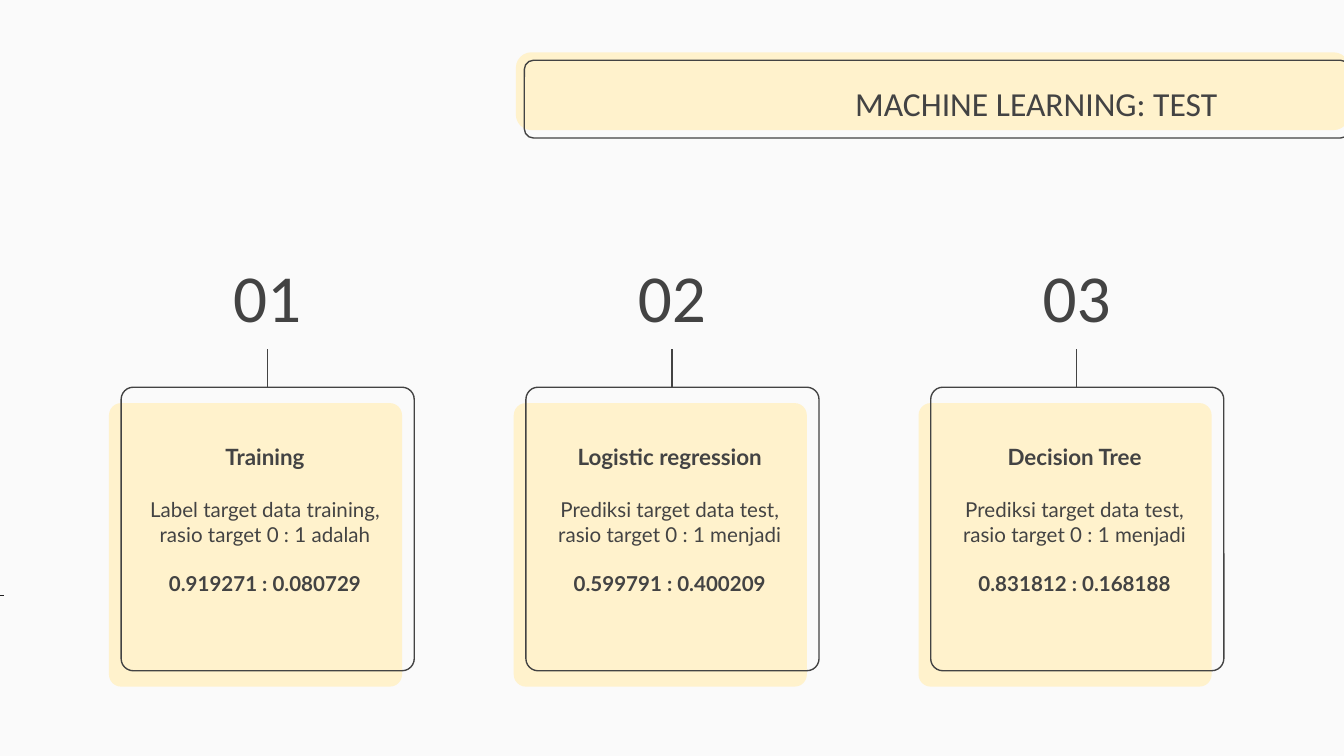
from lxml import etree
from pptx import Presentation
from pptx.dml.color import RGBColor
from pptx.enum.shapes import MSO_CONNECTOR, MSO_SHAPE
from pptx.enum.text import MSO_ANCHOR, PP_ALIGN
from pptx.oxml.ns import qn
from pptx.util import Cm, Pt

ROUND = MSO_SHAPE.ROUNDED_RECTANGLE
LINE = MSO_CONNECTOR.STRAIGHT
TOP, MIDDLE, BOTTOM = MSO_ANCHOR.TOP, MSO_ANCHOR.MIDDLE, MSO_ANCHOR.BOTTOM
CENTER, RIGHT = PP_ALIGN.CENTER, PP_ALIGN.RIGHT

COLORS = {"back": "FAFAFA", "cream": "FFF2CC", "ink": "434343", "dark": "1F1F1F"}
PITCH = 7.65
CARDS = [
    ("Training", "Label target data training,",
     "rasio target 0 : 1 adalah", "0.919271 : 0.080729"),
    ("Logistic regression", "Prediksi target data test,",
     "rasio target 0 : 1 menjadi", "0.599791 : 0.400209"),
    ("Decision Tree", "Prediksi target data test,",
     "rasio target 0 : 1 menjadi", "0.831812 : 0.168188"),
]


def color(name):
    return RGBColor.from_string(COLORS[name])


class Deck:
    """Holds the style and the current slide; lengths are in centimetres."""

    def __init__(self):
        self.file = Presentation()
        self.file.slide_width = Cm(25.4)
        self.file.slide_height = Cm(14.29)
        self.slide = self.file.slides.add_slide(self.file.slide_layouts[6])
        fill = self.slide.background.fill
        fill.solid()
        fill.fore_color.rgb = color("back")

    def box(self, x, y, w, h, curve, fill=None):
        """Draw a filled rounded box, or an outlined one if no fill is given."""
        shape = self.slide.shapes.add_shape(ROUND, Cm(x), Cm(y), Cm(w), Cm(h))
        shape.adjustments[0] = curve
        shape.shadow.inherit = False
        if fill:
            shape.fill.solid()
            shape.fill.fore_color.rgb = color(fill)
            shape.line.fill.background()
        else:
            shape.fill.background()
            shape.line.color.rgb = color("ink")
            shape.line.width = Pt(0.75)

    def line(self, x1, y1, x2, y2, ink="ink", width=0.75):
        line = self.slide.shapes.add_connector(LINE, Cm(x1), Cm(y1), Cm(x2), Cm(y2))
        line.line.color.rgb = color(ink)
        line.line.width = Pt(width)
        etree.SubElement(line._element.spPr, qn("a:effectLst"))

    def text(self, x, y, w, h, rows, font="Calibri", anchor=TOP, align=CENTER):
        """Write rows of (text, size, bold, space after), one paragraph each."""
        frame = self.slide.shapes.add_textbox(Cm(x), Cm(y), Cm(w), Cm(h)).text_frame
        frame.word_wrap = True
        frame.vertical_anchor = anchor
        frame.margin_left = frame.margin_right = Cm(0.25)
        frame.margin_top = frame.margin_bottom = Cm(0.25)
        for i, (words, size, bold, after) in enumerate(rows):
            para = frame.add_paragraph() if i else frame.paragraphs[0]
            para.alignment = align
            para.space_after = Pt(after)
            run = para.add_run()
            run.text = words
            run.font.name = font
            run.font.size = Pt(size)
            run.font.bold = bold
            run.font.color.rgb = color("ink")

    def card(self, index, title, first, second, ratio):
        """Draw a numbered card in its column."""
        x = 2.06 + index * PITCH
        self.box(x, 7.62, 5.54, 5.36, 0.043, "cream")
        self.box(x + 0.23, 7.32, 5.54, 5.36, 0.043)
        self.line(x + 2.99, 6.6, x + 2.99, 7.32)
        self.text(x + 1.01, 4.39, 3.96, 2.21,
                  [(f"{index + 1:02}", 36, False, 0)], anchor=BOTTOM)
        self.text(x + 0.41, 8.13, 5.08, 4.65, [
            (title, 12, True, 14.4),
            (first, 11, False, 0),
            (second, 11, False, 13.2),
            (ratio, 11, True, 0),
        ], font="Lato")


def main():
    deck = Deck()
    deck.box(9.75, 0.99, 15.75, 1.47, 0.199, "cream")
    deck.box(9.91, 1.14, 15.6, 1.47, 0.119)
    deck.line(0, 11.25, 0.08, 11.25, "dark", 0.3)
    for index, words in enumerate(CARDS):
        deck.card(index, *words)
    deck.text(14.4, 1.27, 8.86, 1.35, [("MACHINE LEARNING: TEST", 18, False, 0)],
              anchor=MIDDLE, align=RIGHT)
    deck.file.save("out.pptx")


if __name__ == "__main__":
    main()
